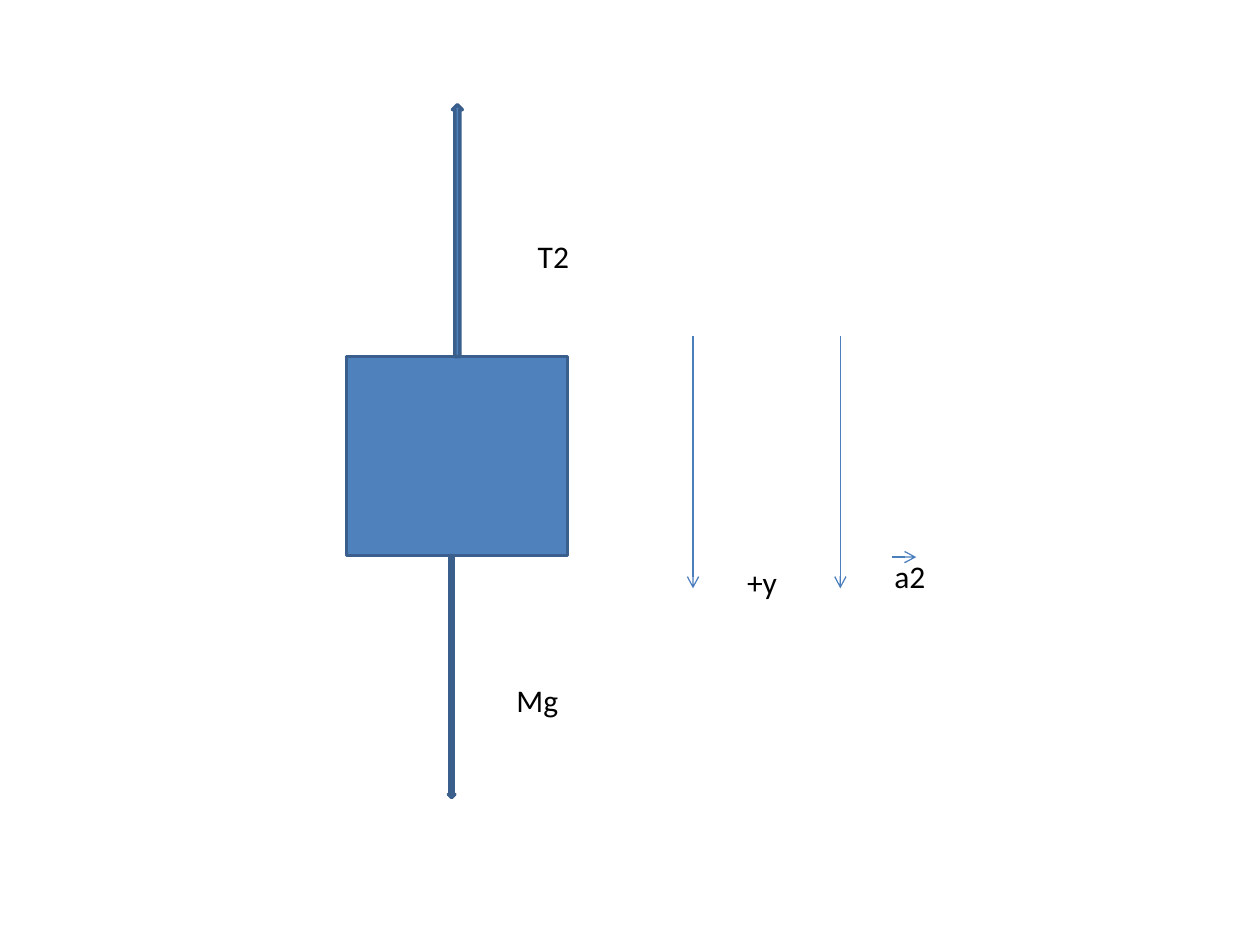
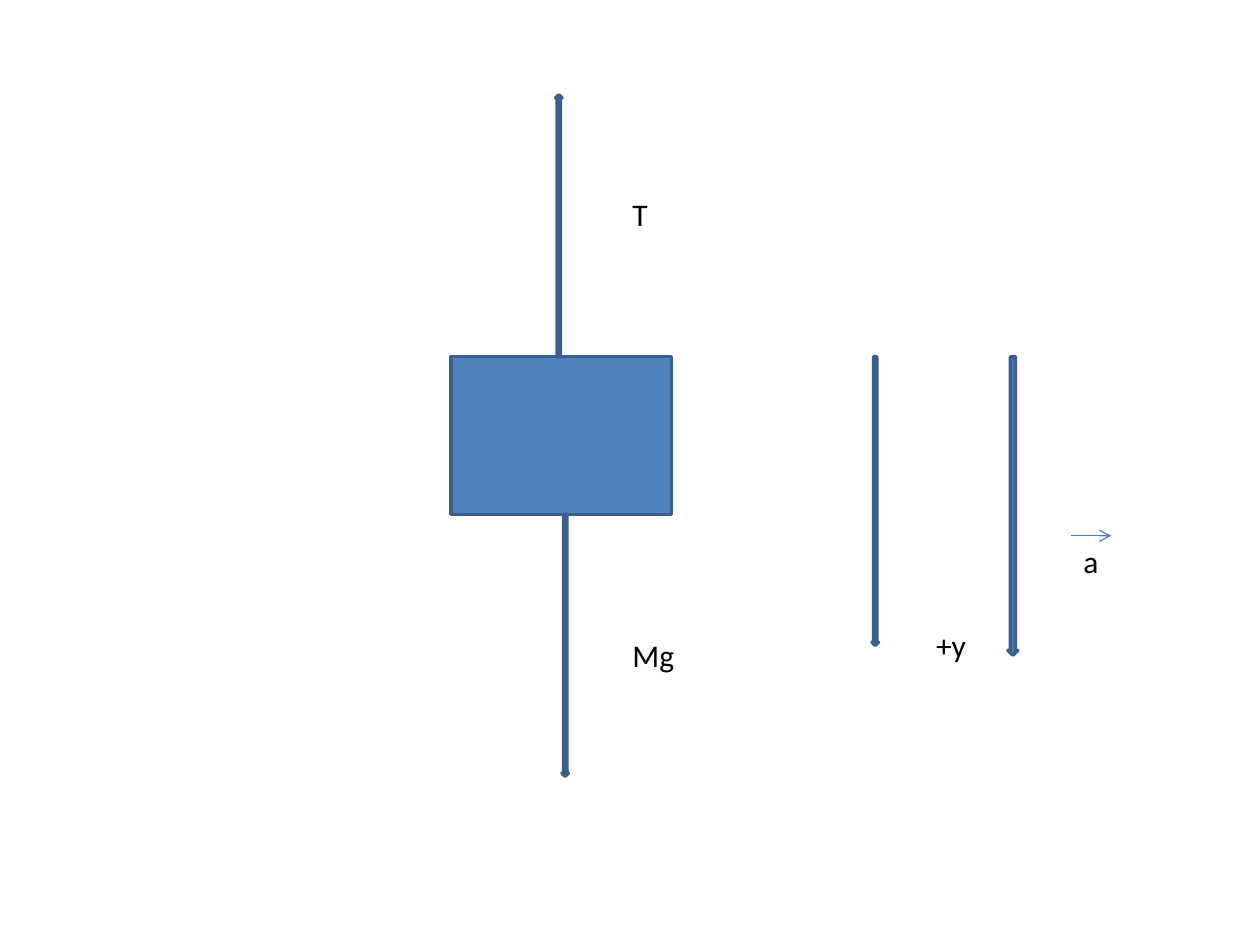
from lxml import etree
from pptx import Presentation
from pptx.dml.color import RGBColor
from pptx.enum.shapes import MSO_CONNECTOR, MSO_SHAPE
from pptx.enum.text import MSO_AUTO_SIZE
from pptx.oxml.ns import qn
from pptx.util import Cm, Pt

RECTANGLE = MSO_SHAPE.RECTANGLE
DOWN_ARROW = MSO_SHAPE.DOWN_ARROW
STRAIGHT = MSO_CONNECTOR.STRAIGHT
FIT_SHAPE = MSO_AUTO_SIZE.SHAPE_TO_FIT_TEXT

BLUE = RGBColor(0x4F, 0x81, 0xBD)
OUTLINE = RGBColor(0x3A, 0x5F, 0x8C)
VECTOR = RGBColor(0x4B, 0x7E, 0xBC)
BLACK = RGBColor(0, 0, 0)

BLANK_LAYOUT = 6
BODY_TOP = 7.19
BODY_WIDTH = 4.45
THIN = 0.13
THICK = 0.2


class ForceDiagram:
    font = "Calibri"
    text_size = Pt(18)

    def __init__(self, deck):
        self.slide = deck.slides.add_slide(deck.slide_layouts[BLANK_LAYOUT])

    def solid(self, preset, left, top, width, height):
        shape = self.slide.shapes.add_shape(
            preset, Cm(left), Cm(top), Cm(width), Cm(height))
        shape.shadow.inherit = False
        shape.fill.solid()
        shape.fill.fore_color.rgb = BLUE
        shape.line.color.rgb = OUTLINE
        shape.line.width = Pt(2)
        return shape

    def body(self, left, height):
        self.solid(RECTANGLE, left, BODY_TOP, BODY_WIDTH, height)

    def down_force(self, left, top, length, width=THIN):
        return self.solid(DOWN_ARROW, left, top, width, length)

    def up_force(self, left, length, width=THIN):
        force = self.down_force(left, BODY_TOP - length, length, width)
        force.rotation = 180

    def vector(self, x1, y1, x2, y2):
        line = self.slide.shapes.add_connector(
            STRAIGHT, Cm(x1), Cm(y1), Cm(x2), Cm(y2))
        line.line.color.rgb = VECTOR
        line.line.width = Pt(0.75)
        outline = line.line._get_or_add_ln()
        etree.SubElement(outline, qn("a:tailEnd"), type="arrow")
        etree.SubElement(line._element.spPr, qn("a:effectLst"))

    def label(self, text, left, top, width, wrap=False):
        box = self.slide.shapes.add_textbox(
            Cm(left), Cm(top), Cm(width), Cm(1.02))
        frame = box.text_frame
        frame.word_wrap = wrap
        frame.auto_size = FIT_SHAPE
        paragraph = frame.paragraphs[0]
        paragraph.text = text
        paragraph.font.name = self.font
        paragraph.font.size = self.text_size
        paragraph.font.color.rgb = BLACK


def second_body(deck):
    diagram = ForceDiagram(deck)
    height = 4.01
    diagram.body(6.99, height)
    diagram.down_force(9.04, BODY_TOP + height, 4.88)
    diagram.up_force(9.12, 5.08, THICK)
    diagram.label("T2", 10.59, 4.65, 1.14)
    diagram.label("Mg", 10.16, 13.61, 1.37)
    for axis_x in (13.97, 16.94):
        diagram.vector(axis_x, 6.78, axis_x, 11.86)
    diagram.label("+y", 14.81, 11.23, 1.12)
    diagram.label("a2", 17.78, 11.1, 1.35, wrap=True)
    diagram.vector(17.98, 11.23, 18.47, 11.23)


def single_body(deck):
    diagram = ForceDiagram(deck)
    height = 3.18
    force_length = 5.28
    diagram.body(9.09, height)
    diagram.down_force(11.33, BODY_TOP + height, force_length)
    diagram.up_force(11.2, force_length)
    diagram.down_force(17.58, BODY_TOP, 5.82)
    diagram.label("T", 12.5, 3.81, 0.81)
    diagram.label("Mg", 12.5, 12.7, 1.37)
    diagram.label("+y", 18.62, 12.5, 1.12)
    diagram.down_force(20.32, BODY_TOP, 6.02, THICK)
    diagram.label("a", 21.59, 10.8, 0.81)
    diagram.vector(21.59, 10.8, 22.4, 10.8)


def main():
    deck = Presentation()
    deck.slide_width = Cm(25.4)
    deck.slide_height = Cm(19.05)
    second_body(deck)
    single_body(deck)
    deck.save("out.pptx")


if __name__ == "__main__":
    main()
